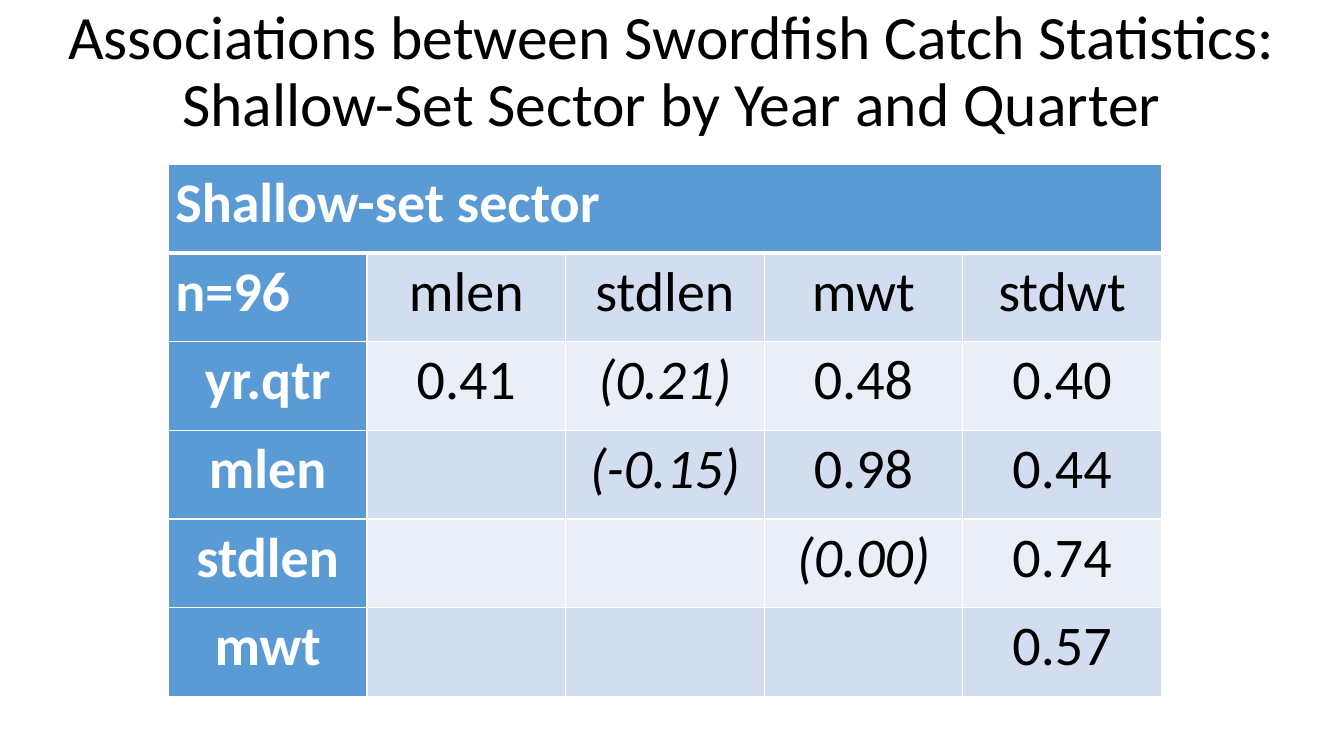
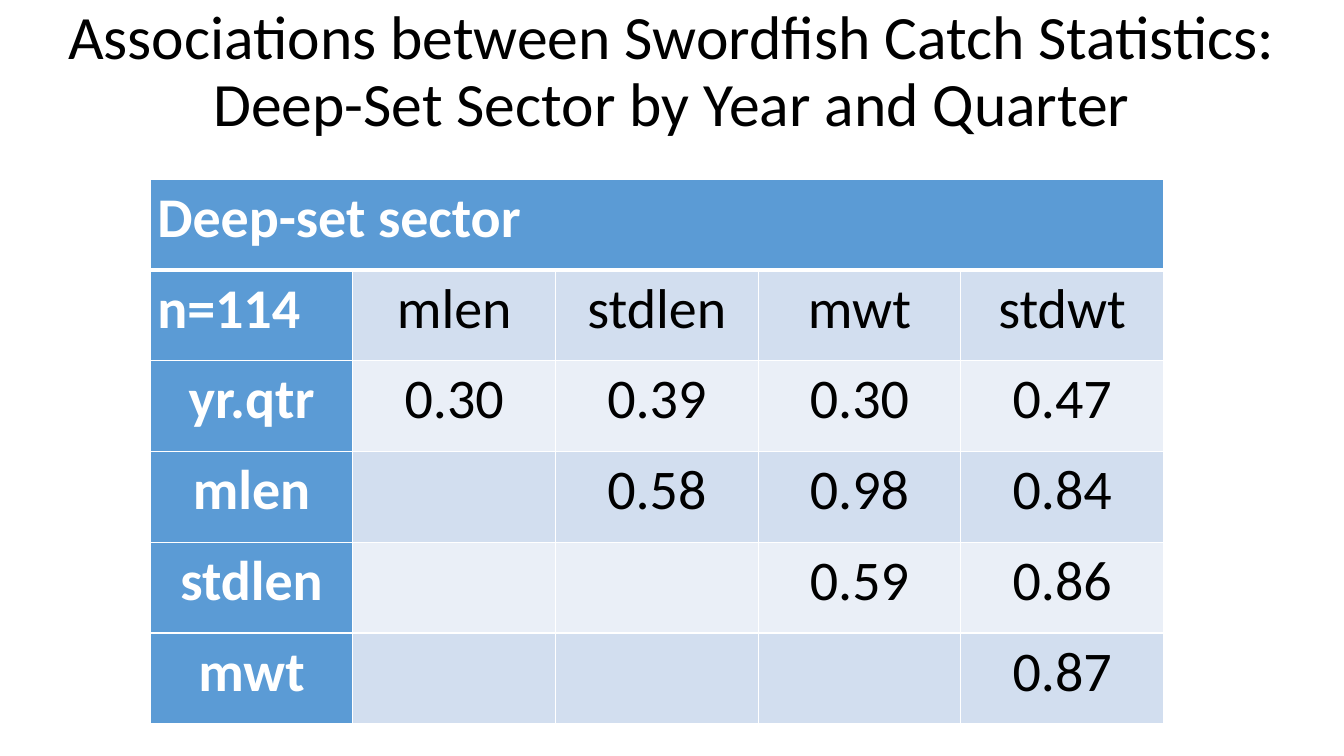
from lxml import etree
from pptx import Presentation
from pptx.dml.color import RGBColor
from pptx.enum import text
from pptx.oxml import ns
from pptx.util import Inches, Pt

TITLE = "Associations between Swordfish Catch Statistics:\v{} Sector by Year and Quarter"
STATISTICS = ["mlen", "stdlen", "mwt", "stdwt"]
ROW_LABELS = ["yr.qtr", "mlen", "stdlen", "mwt"]

# Each correlation row is right-aligned under STATISTICS; brackets mark italics.
SECTORS = [
    {
        "title": "Shallow-Set", "heading": "Shallow-set sector", "sample": "n=96",
        "correlations": [
            ["0.41", "(0.21)", "0.48", "0.40"],
            ["(-0.15)", "0.98", "0.44"],
            ["(0.00)", "0.74"],
            ["0.57"],
        ],
        "left": 1.67, "top": 1.63, "column": 1.97, "row": 0.88,
    },
    {
        "title": "Deep-Set", "heading": "Deep-set sector", "sample": "n=114",
        "correlations": [
            ["0.30", "0.39", "0.30", "0.47"],
            ["0.58", "0.98", "0.84"],
            ["0.59", "0.86"],
            ["0.87"],
        ],
        "left": 1.49, "top": 1.78, "column": 2.01, "row": 0.9,
    },
]

BLACK = RGBColor(0x00, 0x00, 0x00)
WHITE = RGBColor(0xFF, 0xFF, 0xFF)
BLUE = RGBColor(0x5B, 0x9B, 0xD5)
BANDS = [RGBColor(0xEA, 0xEF, 0xF7), RGBColor(0xD2, 0xDE, 0xEF)]
FONT = "Calibri"
WIDTH, HEIGHT = Inches(13.33), Inches(7.5)
TITLE_HEIGHT = Inches(1.45)
CELL_MARGIN = Inches(0.07)
THIN, THICK = Pt(1), Pt(3)


def style_text(paragraph, size, color, spacing, align, bold=False, italic=False):
    """Format a paragraph and all its runs."""
    paragraph.alignment = align
    paragraph.line_spacing = spacing
    for run in paragraph.runs:
        font = run.font
        font.name, font.size, font.bold, font.italic = FONT, Pt(size), bold, italic
        font.color.rgb = color


def add_title(slide, sector_title):
    """Fill the title placeholder across the top of the slide."""
    title = slide.shapes.title
    title.left, title.top, title.width, title.height = 0, 0, WIDTH, TITLE_HEIGHT
    frame = title.text_frame
    frame.text = TITLE.format(sector_title)
    frame.word_wrap = True
    frame.auto_size = text.MSO_AUTO_SIZE.NONE
    frame.vertical_anchor = text.MSO_ANCHOR.MIDDLE
    style_text(frame.paragraphs[0], 44, BLACK, 0.9, text.PP_ALIGN.CENTER)


def add_borders(cell, row):
    """Draw white cell borders, with a thick rule below the heading row."""
    widths = {
        "lnL": THIN,
        "lnR": THIN,
        "lnT": THICK if row == 1 else THIN,
        "lnB": THICK if row == 0 else THIN,
    }
    properties = cell._tc.get_or_add_tcPr()
    for side, width in widths.items():
        line = etree.SubElement(properties, ns.qn("a:" + side), w=str(width))
        fill = etree.SubElement(line, ns.qn("a:solidFill"))
        etree.SubElement(fill, ns.qn("a:srgbClr"), val=str(WHITE))


def style_cell(cell, row, column, value):
    """Write one cell and format it by its place in the table."""
    is_label = row == 0 or column == 0
    add_borders(cell, row)
    cell.fill.solid()
    cell.fill.fore_color.rgb = BLUE if is_label else BANDS[row % 2]
    cell.margin_left = cell.margin_right = CELL_MARGIN
    cell.margin_top = cell.margin_bottom = 0
    cell.text_frame.text = value
    at_left = row == 0 or (row == 1 and column == 0)
    style_text(
        cell.text_frame.paragraphs[0], 40, WHITE if is_label else BLACK, 1.07,
        text.PP_ALIGN.LEFT if at_left else text.PP_ALIGN.CENTER,
        bold=is_label, italic=value.startswith("("),
    )


def add_correlations(slide, sector):
    """Add the triangular correlation table of one sector."""
    count = len(STATISTICS)
    rows = [[sector["heading"]] + [""] * count, [sector["sample"]] + STATISTICS]
    for label, values in zip(ROW_LABELS, sector["correlations"]):
        rows.append([label] + [""] * (count - len(values)) + values)

    table = slide.shapes.add_table(
        len(rows), count + 1, Inches(sector["left"]), Inches(sector["top"]),
        Inches(sector["column"] * (count + 1)), Inches(sector["row"] * len(rows)),
    ).table
    for table_column in table.columns:
        table_column.width = Inches(sector["column"])
    for table_row in table.rows:
        table_row.height = Inches(sector["row"])
    for row, values in enumerate(rows):
        for column, value in enumerate(values):
            style_cell(table.cell(row, column), row, column, value)
    table.cell(0, 0).merge(table.cell(0, count))


def main():
    """Build one slide per fishing sector."""
    deck = Presentation()
    deck.slide_width, deck.slide_height = WIDTH, HEIGHT
    title_only = deck.slide_layouts[5]
    for sector in SECTORS:
        slide = deck.slides.add_slide(title_only)
        add_title(slide, sector["title"])
        add_correlations(slide, sector)
    deck.save("out.pptx")


main()
